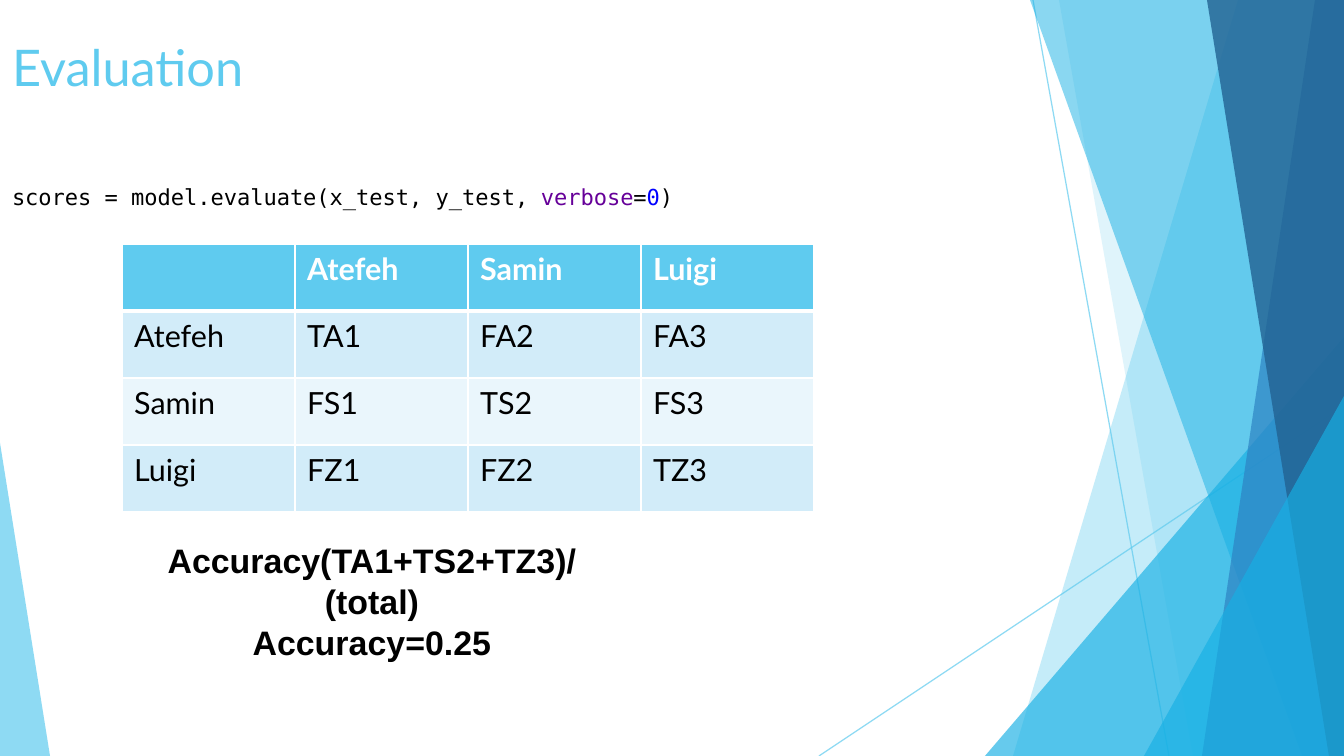
from dataclasses import dataclass

from pptx import Presentation
from pptx.dml.color import RGBColor
from pptx.enum.shapes import MSO_CONNECTOR, MSO_SHAPE
from pptx.enum.text import MSO_ANCHOR as Anchor, MSO_AUTO_SIZE as Fit, PP_ALIGN as Align
from pptx.oxml.ns import qn
from pptx.oxml.xmlchemy import OxmlElement as Xml
from pptx.util import Emu, Pt

PX = 7495
WIDE, HIGH = 1344, 756
SKY, CYAN, BLUE, NAVY = "5FCBEF", "17B0E4", "2E83C3", "226292"
WHITE, BLACK = "FFFFFF", "000000"


@dataclass
class Ray:
    x1: int
    y1: int
    x2: int
    y2: int


@dataclass
class Band:
    """A strip from a slanted left edge to the right side of the slide."""
    top: int
    base: int
    color: str
    alpha: int


@dataclass
class Wedge:
    """A triangle standing on the bottom of the slide."""
    left: int
    top: int
    width: int
    peak: int
    color: str
    alpha: int


RAYS = [Ray(1033, 0, 1169, HIGH), Ray(WIDE, 406, 819, HIGH)]
FACETS = [
    Band(1238, 1013, SKY, 36),
    Band(1059, 1193, SKY, 20),
    Wedge(985, 337, 359, 1, CYAN, 66),
    Band(1030, 1302, CYAN, 50),
    Band(1315, 1202, BLUE, 70),
    Band(1207, 1329, NAVY, 80),
    Wedge(1144, 396, 200, 1, CYAN, 66),
    Wedge(0, 443, 50, 0, SKY, 70),
]
CODE = [
    ("scores = model.evaluate(x_test, y_test, ", BLACK),
    ("verbose", "660099"),
    ("=", BLACK),
    ("0", "0000FF"),
    (")", BLACK),
]
ROWS = [
    ["", "Atefeh", "Samin", "Luigi"],
    ["Atefeh", "TA1", "FA2", "FA3"],
    ["Samin", "FS1", "TS2", "FS3"],
    ["Luigi", "FZ1", "FZ2", "TZ3"],
]
FILLS = [SKY, "D2ECF9", "EAF6FC", "D2ECF9"]


def px(*nums: int) -> list[Emu]:
    return [Emu(n * PX) for n in nums]


def rgb(code: str) -> RGBColor:
    return RGBColor.from_string(code)


def style(run, font: str, size: float, color: str, bold: bool = False) -> None:
    run.font.name, run.font.size, run.font.bold = font, Pt(size), bold
    run.font.color.rgb = rgb(color)


def fade(shape, alpha: int) -> None:
    """Set the opacity, in percent, of the shape's colour."""
    for clr in shape.element.spPr.iter(qn("a:srgbClr")):
        node = Xml("a:alpha")
        node.set("val", str(alpha * 1000))
        clr.append(node)


def add_ray(slide, ray: Ray) -> None:
    line = slide.shapes.add_connector(
        MSO_CONNECTOR.STRAIGHT, *px(ray.x1, ray.y1, ray.x2, ray.y2))
    line.line.color.rgb = rgb(SKY)
    line.line.width = Pt(0.75)
    fade(line, 70)
    line.element.spPr.append(Xml("a:effectLst"))


def add_facet(slide, facet: Band | Wedge) -> None:
    if isinstance(facet, Band):
        path = slide.shapes.build_freeform(facet.top, 0, scale=PX)
        path.add_line_segments([(WIDE, 0), (WIDE, HIGH), (facet.base, HIGH)])
        shape = path.convert_to_shape()
    else:
        shape = slide.shapes.add_shape(
            MSO_SHAPE.ISOSCELES_TRIANGLE,
            *px(facet.left, facet.top, facet.width, HIGH - facet.top))
        shape.adjustments[0] = facet.peak
    shape.shadow.inherit = False
    shape.fill.solid()
    shape.fill.fore_color.rgb = rgb(facet.color)
    shape.line.fill.background()
    fade(shape, facet.alpha)


def add_title(slide) -> None:
    title = slide.shapes.title
    title.left, title.top, title.width, title.height = px(0, 30, 1102, 127)
    frame = title.text_frame
    frame.text = "Evaluation"
    frame.auto_size, frame.vertical_anchor = Fit.NONE, Anchor.TOP
    frame.paragraphs[0].alignment = Align.LEFT
    style(frame.paragraphs[0].runs[0], "Lato", 29.8, SKY)


def add_code(slide) -> None:
    frame = slide.shapes.add_textbox(*px(0, 177, 1102, 40)).text_frame
    frame.word_wrap = True
    for text, color in CODE:
        run = frame.paragraphs[0].add_run()
        run.text = text
        style(run, "DejaVu Sans Mono", 13, color)


def add_score(slide) -> None:
    frame = slide.shapes.add_textbox(*px(112, 534, 520, 135)).text_frame
    frame.word_wrap = True
    frame.text = "Accuracy(TA1+TS2+TZ3)/(total)\nAccuracy=0.25"
    for para in frame.paragraphs:
        para.alignment = Align.CENTER
        style(para.runs[0], "Arial", 20, BLACK, True)


def add_edge(cell, side: str, width: float) -> None:
    line, fill, color = Xml(f"a:ln{side}"), Xml("a:solidFill"), Xml("a:srgbClr")
    line.set("w", str(Pt(width)))
    color.set("val", WHITE)
    fill.append(color)
    line.append(fill)
    cell.get_or_add_tcPr().append(line)


def add_matrix(slide) -> None:
    wide, high = 173, 67
    grid = slide.shapes.add_table(4, 4, *px(122, 244, 4 * wide, 4 * high)).table
    for r, (row, fill) in enumerate(zip(ROWS, FILLS)):
        for c, text in enumerate(row):
            cell = grid.cell(r, c)
            for side in "LRTB":
                thick = (r, side) in ((0, "B"), (1, "T"))
                add_edge(cell._tc, side, 3 if thick else 1)
            cell.fill.solid()
            cell.fill.fore_color.rgb = rgb(fill)
            cell.text_frame.text = text
            for run in cell.text_frame.paragraphs[0].runs:
                style(run, "Lato", 18, BLACK if r else WHITE, r == 0)


def main() -> None:
    deck = Presentation()
    deck.slide_width, deck.slide_height = px(WIDE, HIGH)
    slide = deck.slides.add_slide(deck.slide_layouts[5])
    for ray in RAYS:
        add_ray(slide, ray)
    for facet in FACETS:
        add_facet(slide, facet)
    add_title(slide)
    add_code(slide)
    add_score(slide)
    add_matrix(slide)
    deck.save("out.pptx")


if __name__ == "__main__":
    main()
